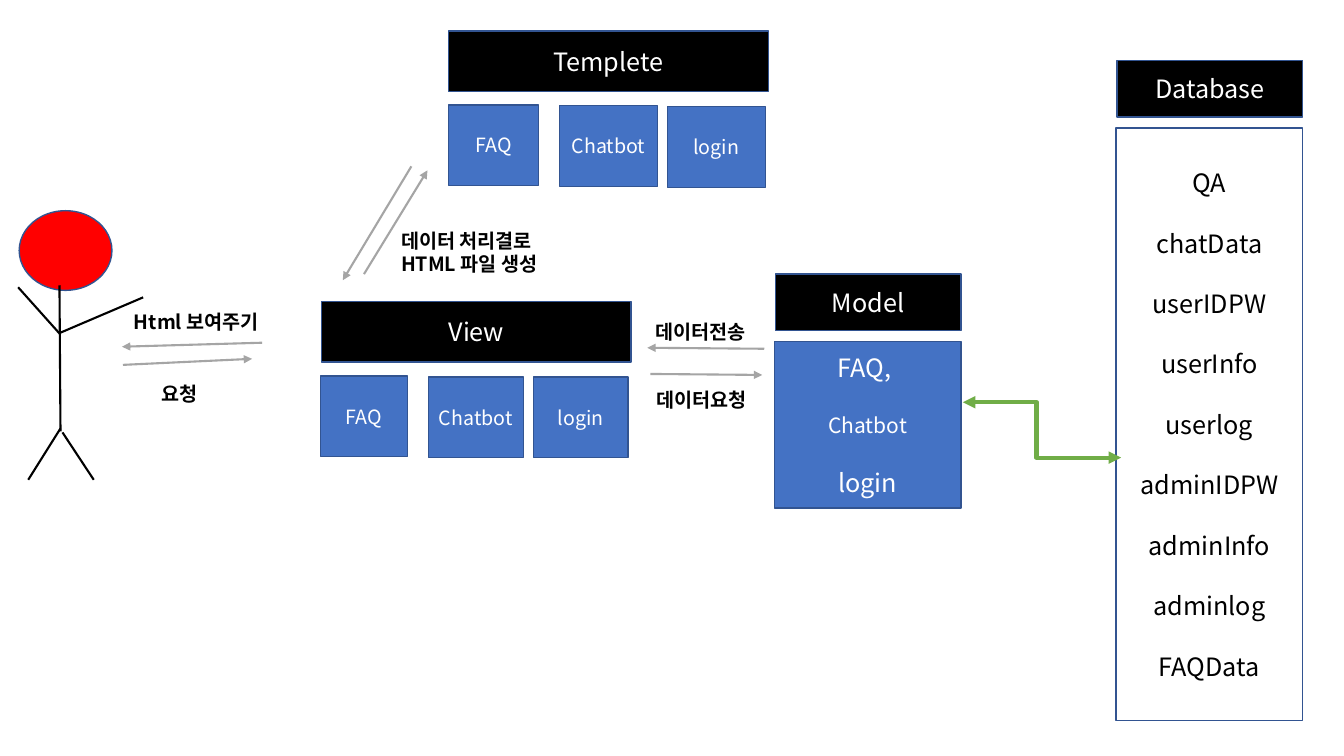
from typing import NamedTuple

from lxml import etree
from pptx import Presentation
from pptx.dml.color import RGBColor
from pptx.enum.shapes import MSO_CONNECTOR, MSO_SHAPE
from pptx.enum.text import MSO_ANCHOR, PP_ALIGN
from pptx.oxml.ns import qn
from pptx.util import Inches, Pt

RECT, OVAL = MSO_SHAPE.RECTANGLE, MSO_SHAPE.OVAL
STRAIGHT, ELBOW = MSO_CONNECTOR.STRAIGHT, MSO_CONNECTOR.ELBOW
LEFT, CENTER = PP_ALIGN.LEFT, PP_ALIGN.CENTER
TOP, MIDDLE = MSO_ANCHOR.TOP, MSO_ANCHOR.MIDDLE

BLACK = RGBColor(0x00, 0x00, 0x00)
WHITE = RGBColor(0xFF, 0xFF, 0xFF)
BLUE = RGBColor(0x44, 0x72, 0xC4)
NAVY = RGBColor(0x32, 0x54, 0x91)
RED = RGBColor(0xFF, 0x00, 0x00)
GREEN = RGBColor(0x70, 0xAD, 0x47)
GRAY = RGBColor(0xA5, 0xA5, 0xA5)

FONT = "Noto Sans CJK KR"
LEADING = 1.2  # line height as a multiple of the text size
GAP = 21.6     # points between list entries


class Row(NamedTuple):
    text: str
    size: int = 18


class Box(NamedTuple):
    left: float
    top: float
    width: float
    height: float
    fill: RGBColor
    rows: tuple[Row, ...] = ()
    color: RGBColor = WHITE
    kind: MSO_SHAPE = RECT


class Label(NamedTuple):
    left: float
    top: float
    width: float
    height: float
    rows: tuple[Row, ...]


class Link(NamedTuple):
    start: tuple[float, float]
    end: tuple[float, float]
    color: RGBColor = GRAY
    width: float = 1.5
    ends: tuple[str, ...] = ("a:tailEnd",)
    kind: MSO_CONNECTOR = STRAIGHT


def write(frame, rows, color, align, anchor, gap=0.0, bold=False) -> None:
    frame.word_wrap = True
    frame.vertical_anchor = anchor
    for i, row in enumerate(rows):
        para = frame.paragraphs[0] if i == 0 else frame.add_paragraph()
        para.text = row.text
        para.alignment = align
        para.line_spacing = Pt(row.size * LEADING)
        para.space_before = Pt(gap if i else 0)
        font = para.font
        font.name, font.size, font.bold = FONT, Pt(row.size), bold
        font.color.rgb = color
        # Hangul takes its own typeface entry
        props = para._p.pPr.find(qn("a:defRPr"))
        etree.SubElement(props, qn("a:ea")).set("typeface", FONT)


def draw_box(shapes, box: Box) -> None:
    place = [Inches(n) for n in box[:4]]
    shape = shapes.add_shape(box.kind, *place)
    shape.shadow.inherit = False
    shape.fill.solid()
    shape.fill.fore_color.rgb = box.fill
    shape.line.color.rgb = NAVY
    shape.line.width = Pt(1)
    write(shape.text_frame, box.rows, box.color, CENTER, MIDDLE, GAP)


def draw_label(shapes, label: Label) -> None:
    text = shapes.add_textbox(*[Inches(n) for n in label[:4]])
    write(text.text_frame, label.rows, BLACK, LEFT, TOP, bold=True)


def draw_link(shapes, link: Link):
    points = [Inches(n) for n in link.start + link.end]
    line = shapes.add_connector(link.kind, *points)
    line.line.color.rgb = link.color
    line.line.width = Pt(link.width)
    props = line._element.spPr
    for end in link.ends:
        etree.SubElement(props.find(qn("a:ln")), qn(end)).set("type", "triangle")
    etree.SubElement(props, qn("a:effectLst"))
    return line


def header(left, top, width, height, name) -> Box:
    return Box(left, top, width, height, BLACK, (Row(name),))


def tile(left, top, width, name) -> Box:
    return Box(left, top, width, 0.8, BLUE, (Row(name, 14),))


TABLES = ("QA", "chatData", "userIDPW", "userInfo", "userlog",
          "adminIDPW", "adminInfo", "adminlog", "FAQData")
STORE = [
    Box(11.07, 1.27, 1.85, 5.88, WHITE, tuple(Row(t) for t in TABLES), BLACK),
    header(11.08, 0.6, 1.84, 0.56, "Database"),
]
MODEL = [
    Box(7.68, 3.39, 1.85, 1.65, BLUE,
        (Row("FAQ, "), Row("Chatbot", 15), Row("login"))),
    header(7.69, 2.72, 1.84, 0.56, "Model"),
]
VIEW = [
    header(3.19, 2.99, 3.07, 0.6, "View"),
    tile(3.18, 3.73, 0.86, "FAQ"),
    tile(4.25, 3.74, 0.94, "Chatbot"),
    tile(5.29, 3.74, 0.94, "login"),
]
PAGES = [
    header(4.45, 0.31, 3.17, 0.6, "Templete"),
    tile(4.45, 1.04, 0.89, "FAQ"),
    tile(5.55, 1.05, 0.97, "Chatbot"),
    tile(6.62, 1.06, 0.97, "login"),
]

HEAD = Box(0.19, 2.09, 0.92, 0.79, RED, kind=OVAL)
LIMBS = [
    ((0.59, 2.83), (0.6, 4.28)),   # trunk
    ((0.6, 3.3), (1.42, 2.95)),    # arms
    ((0.6, 3.32), (0.18, 2.85)),
    ((0.62, 4.29), (0.93, 4.76)),  # legs
    ((0.6, 4.25), (0.28, 4.76)),
]
FLOWS = [
    Link((1.22, 3.62), (2.5, 3.56)),
    Link((2.6, 3.4), (1.21, 3.44)),
    Link((6.45, 3.71), (7.56, 3.72)),
    Link((7.58, 3.46), (6.42, 3.45)),
    Link((3.61, 2.72), (4.24, 1.69)),
    Link((4.08, 1.65), (3.4, 2.78)),
]
LABELS = [
    Label(1.5, 3.74, 0.88, 0.34, (Row("요청", 14),)),
    Label(1.23, 3.03, 1.64, 0.34, (Row("Html 보여주기", 14),)),
    Label(6.41, 3.8, 1.24, 0.34, (Row("데이터요청", 14),)),
    Label(6.4, 3.12, 1.25, 0.34, (Row("데이터전송", 14),)),
    Label(3.88, 2.22, 1.87, 0.57,
          (Row("데이터 처리결로", 14), Row("HTML 파일 생성", 14))),
]

deck = Presentation()
deck.slide_width, deck.slide_height = Inches(13.33), Inches(7.5)
shapes = deck.slides.add_slide(deck.slide_layouts[6]).shapes

# Database and the parts of the server
for box in STORE:
    draw_box(shapes, box)
for part in (MODEL, VIEW, PAGES):
    group = shapes.add_group_shape()
    for box in part:
        draw_box(group.shapes, box)

# User
draw_box(shapes, HEAD)
for start, end in LIMBS:
    draw_link(shapes, Link(start, end, BLACK, ends=()))

# Flows and their labels
for flow in FLOWS:
    draw_link(shapes, flow)
for label in LABELS:
    draw_label(shapes, label)

# Model to database, with the bend just before the middle
query = draw_link(shapes, Link((9.55, 3.99), (11.12, 4.54), GREEN, 3,
                               ("a:headEnd", "a:tailEnd"), ELBOW))
geom = query._element.spPr.find(qn("a:prstGeom"))
bend = etree.SubElement(geom.get_or_add_avLst(), qn("a:gd"))
bend.set("name", "adj1")
bend.set("fmla", "val 46600")

deck.save("out.pptx")
